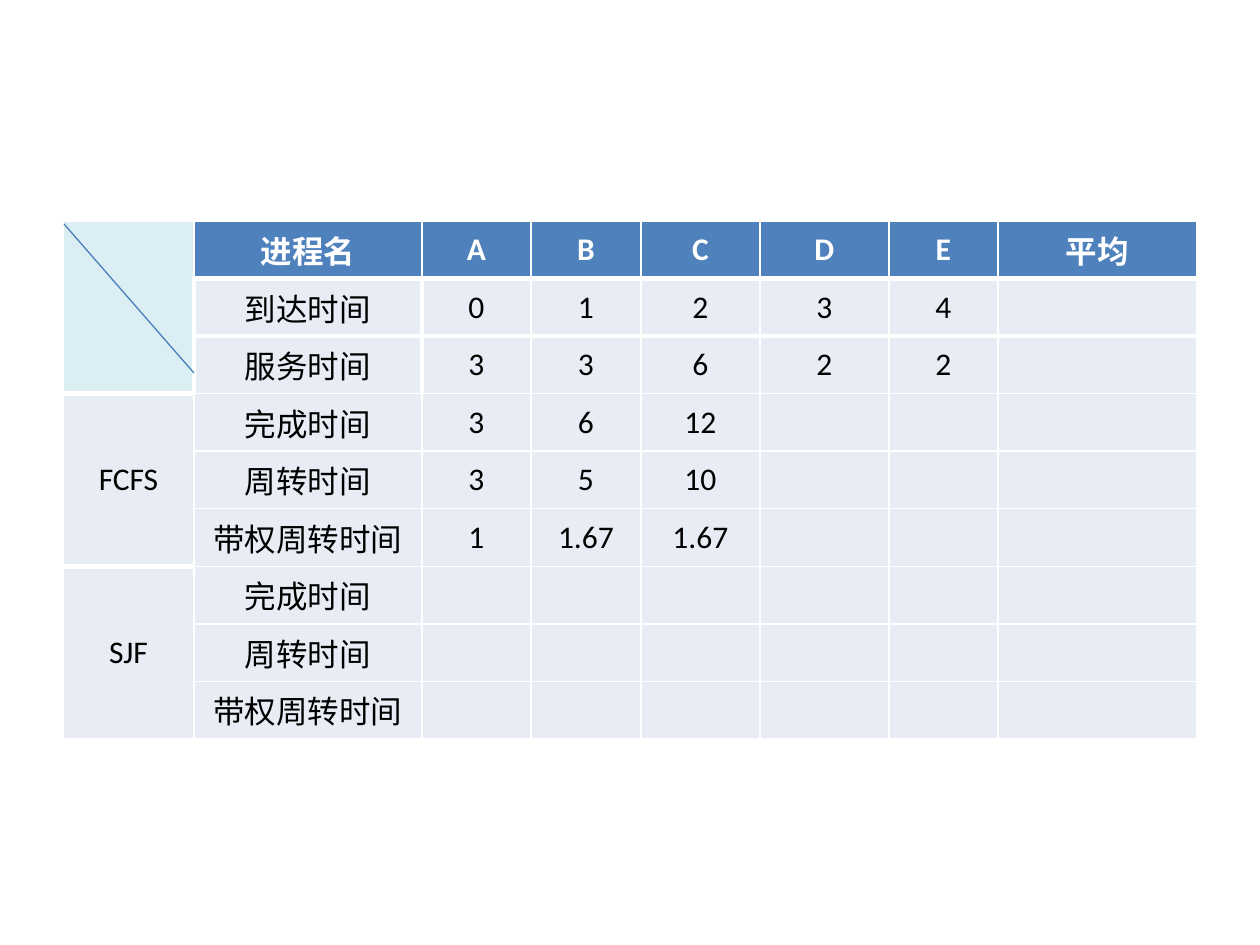
from lxml import etree
from pptx import Presentation
from pptx.dml.color import RGBColor
from pptx.enum.shapes import MSO_CONNECTOR
from pptx.enum.text import MSO_ANCHOR, PP_ALIGN
from pptx.oxml.ns import qn
from pptx.util import Pt

PX = 914400 // 126
COLORS = {"head": "4F81BD", "body": "E8ECF4", "corner": "DBEEF4",
          "white": "FFFFFF", "black": "000000", "line": "4A7EBB"}


def rgb(name):
    return RGBColor.from_string(COLORS[name])


def format_cell(cell, text, fill="body", color="black", bold=False, borders=()):
    cell.fill.solid()
    cell.fill.fore_color.rgb = rgb(fill)
    cell.vertical_anchor = MSO_ANCHOR.MIDDLE
    cell.margin_left = cell.margin_right = 6 * PX
    cell.margin_top = cell.margin_bottom = 6 * PX
    p = cell.text_frame.paragraphs[0]
    p.alignment = PP_ALIGN.CENTER
    p.font.size = Pt(18)
    if text:
        r = p.add_run()
        r.text = text
        r.font.size = Pt(18)
        r.font.name = "Calibri" if text.isascii() else "Roboto"
        r.font.bold = bold
        r.font.color.rgb = rgb(color)
    # Border lines come before the fill
    tcPr = cell._tc.get_or_add_tcPr()
    for i, (side, width) in enumerate(borders):
        ln = etree.Element(qn(f"a:ln{side}"), w=str(Pt(width)))
        solid = etree.SubElement(ln, qn("a:solidFill"))
        etree.SubElement(solid, qn("a:srgbClr"), val=COLORS["white"])
        tcPr.insert(i, ln)


prs = Presentation()
prs.slide_width, prs.slide_height = 1260 * PX, 945 * PX
s = prs.slides.add_slide(prs.slide_layouts[6])

# Scheduling table
measures = ["完成时间", "周转时间", "带权周转时间"]
rows = [
    ["", "进程名", "A", "B", "C", "D", "E", "平均"],
    ["", "到达时间", "0", "1", "2", "3", "4"],
    ["", "服务时间", "3", "3", "6", "2", "2"],
    ["FCFS", measures[0], "3", "6", "12"],
    ["", measures[1], "3", "5", "10"],
    ["", measures[2], "1", "1.67", "1.67"],
    ["SJF", measures[0]],
    ["", measures[1]],
    ["", measures[2]],
]
widths = [131, 228, 109, 110, 119, 129, 109, 199]
row_height = 51
table = s.shapes.add_table(len(rows), len(widths), 63 * PX, 221 * PX,
                           sum(widths) * PX, len(rows) * row_height * PX).table
for col, width in zip(table.columns, widths):
    col.width = width * PX
for row in table.rows:
    row.height = row_height * PX

# Thick lines lie below the heading, around the labels and between the groups
thick_below = {(r, c) for r in (0, 1) for c in range(1, len(widths))}
thick_below |= {(2, 0), (5, 0)}
thick_right = {(r, c) for r in (1, 2) for c in (0, 1)}
for r, texts in enumerate(rows):
    for c in range(len(widths)):
        borders = [("L", 3 if (r, c - 1) in thick_right else 1),
                   ("R", 3 if (r, c) in thick_right else 1),
                   ("T", 3 if (r - 1, c) in thick_below else 1),
                   ("B", 3 if (r, c) in thick_below else 1)]
        head = r == 0 and c > 0
        fill = "head" if head else "corner" if c == 0 and r < 3 else "body"
        format_cell(table.cell(r, c), texts[c] if c < len(texts) else "",
                    fill=fill, color="white" if head else "black",
                    bold=head, borders=borders)
for r in (0, 3, 6):
    table.cell(r, 0).merge(table.cell(r + 2, 0))

# Corner diagonal
diagonal = s.shapes.add_connector(MSO_CONNECTOR.STRAIGHT, 64 * PX, 224 * PX,
                                  194 * PX, 373 * PX)
diagonal.line.color.rgb = rgb("line")
diagonal.line.width = Pt(0.75)
etree.SubElement(diagonal._element.spPr, qn("a:effectLst"))

prs.save("out.pptx")
